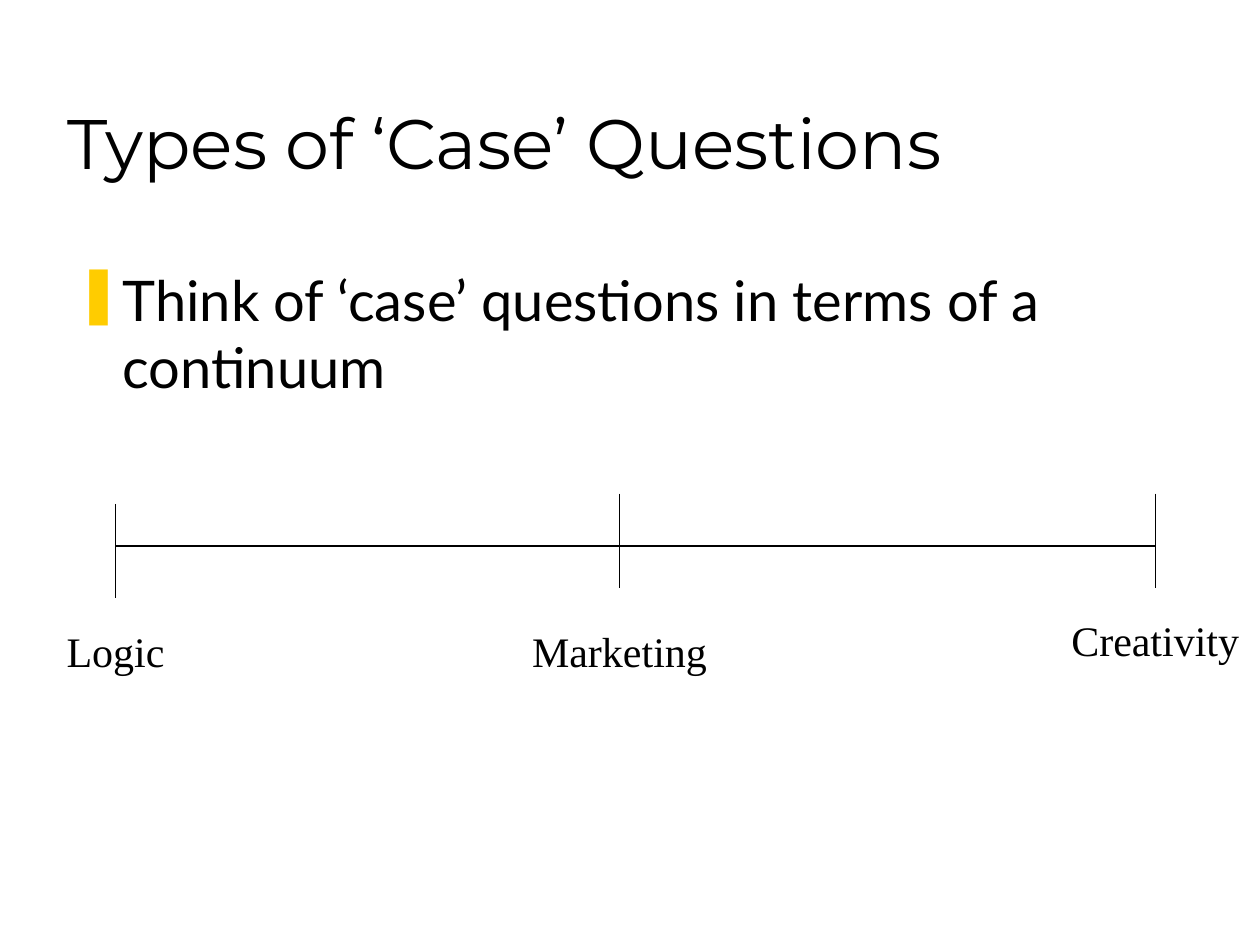
from lxml import etree
from pptx import Presentation
from pptx.dml.color import RGBColor
from pptx.enum import shapes, text
from pptx.oxml import ns
from pptx.util import Cm, Pt

BLACK = RGBColor(0x00, 0x00, 0x00)
GOLD = RGBColor(0xFF, 0xCC, 0x00)


def add_bullet(paragraph, mark, color, indent):
    properties = paragraph._p.get_or_add_pPr()
    properties.set("marL", str(indent))
    properties.set("indent", str(-indent))
    bullet_color = etree.SubElement(properties, ns.qn("a:buClr"))
    etree.SubElement(bullet_color, ns.qn("a:srgbClr"), val=str(color))
    etree.SubElement(properties, ns.qn("a:buChar"), char=mark)


def add_text(slide, words, left, top, width, height, *, font, size, color=BLACK,
             align=text.PP_ALIGN.LEFT, anchor=text.MSO_ANCHOR.TOP, wrap=True, bullet=None):
    frame = slide.shapes.add_textbox(left, top, width, height).text_frame
    frame.word_wrap = wrap
    frame.vertical_anchor = anchor
    paragraph = frame.paragraphs[0]
    paragraph.alignment = align
    if bullet:
        add_bullet(paragraph, bullet, GOLD, Cm(0.95))
    run = paragraph.add_run()
    run.text = words
    run.font.name = font
    run.font.size = Pt(size)
    run.font.color.rgb = color


def add_line(slide, x1, y1, x2, y2):
    line = slide.shapes.add_connector(shapes.MSO_CONNECTOR.STRAIGHT, x1, y1, x2, y2)
    line.line.color.rgb = BLACK
    line.line.width = Pt(0.75)
    etree.SubElement(line._element.spPr, ns.qn("a:effectLst"))


def add_title(slide, left, top, width, height):
    add_text(slide, "Types of ‘Case’ Questions", left, top, width, height,
             font="Montserrat", size=40, anchor=text.MSO_ANCHOR.BOTTOM)


def add_body(slide, left, top, width, height):
    add_text(slide, "Think of ‘case’ questions in terms of a continuum",
             left, top, width, height, font="Lato", size=32, bullet="❚")


def add_continuum(slide, left, top, width):
    axis = top + Cm(1.06)
    tick_height = Cm(1.9)
    drop = Cm(0.21)
    label_top = top + Cm(2.32)
    stops = [
        ("Logic", 0, drop, drop, Cm(2.5)),
        ("Marketing", Cm(10.16), 0, drop, Cm(4.04)),
        ("Creativity", width, 0, 0, Cm(3.89)),
    ]
    add_line(slide, left, axis, left + width, axis)
    for label, offset, tick_drop, label_drop, label_width in stops:
        x = left + offset
        tick_top = top + tick_drop
        add_line(slide, x, tick_top, x, tick_top + tick_height)
        add_text(slide, label, x - label_width // 2, label_top + label_drop,
                 label_width, Cm(1.27), font="Times New Roman", size=24,
                 align=text.PP_ALIGN.CENTER, wrap=False)


def main():
    deck = Presentation()
    deck.slide_width, deck.slide_height = Cm(25.4), Cm(19.05)
    slide = deck.slides.add_slide(deck.slide_layouts[6])
    add_title(slide, Cm(1.12), Cm(0.64), Cm(21.59), Cm(3.18))
    add_body(slide, Cm(1.27), Cm(5.23), Cm(22.71), Cm(11.58))
    add_continuum(slide, Cm(2.33), Cm(9.95), Cm(20.96))
    deck.save("out.pptx")


if __name__ == "__main__":
    main()
